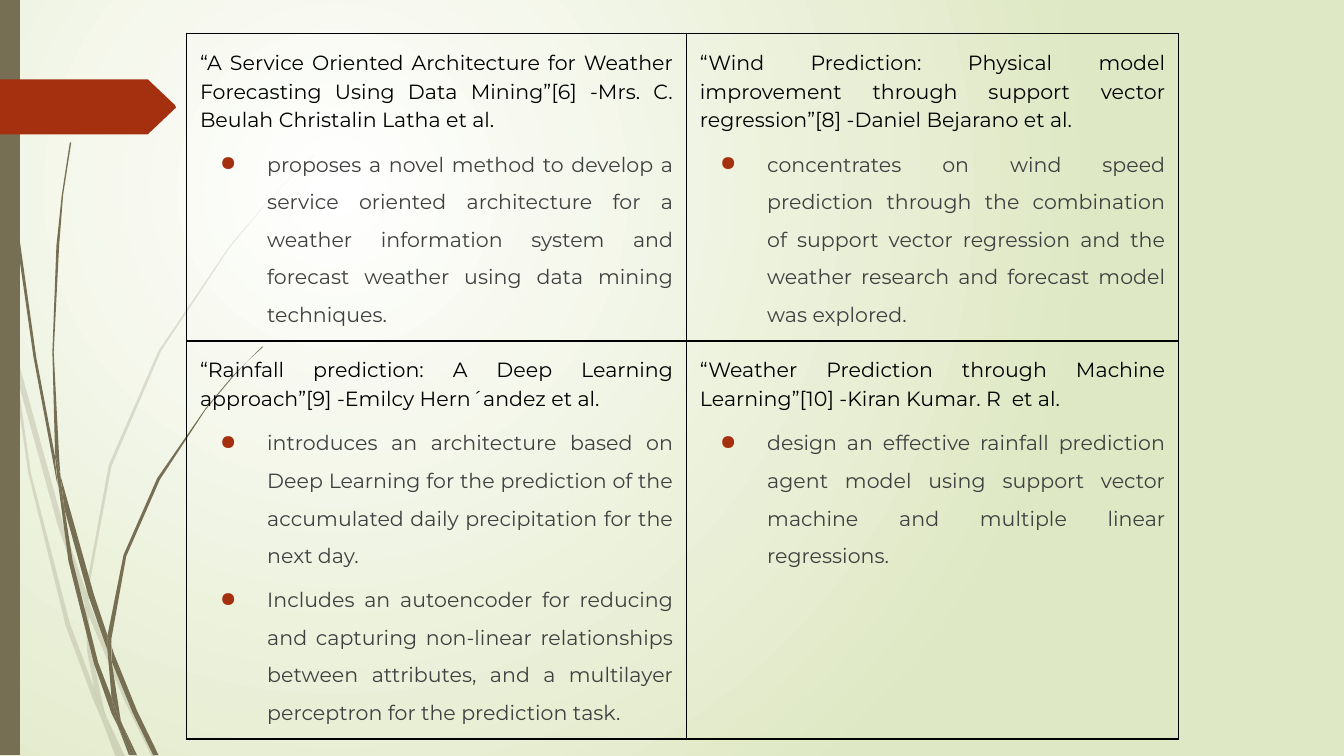
from lxml import etree
from pptx import Presentation
from pptx.dml.color import RGBColor
from pptx.enum.text import PP_ALIGN
from pptx.oxml.ns import qn
from pptx.util import Cm, Pt

JUSTIFY = PP_ALIGN.JUSTIFY
BLANK_LAYOUT = 6
GRID = Cm(2.54) / 100  # outlines are plotted in hundredths of an inch
FONT = "Montserrat"
COLORS = {
    "olive": "766F54",
    "rust": "A53010",
    "black": "000000",
    "gray": "404040",
    "white": "FFFFFF",
    "sage": "DFE8C4",
}

# Grass outlines, each a list of corner points
PALE_GRASS = [
    [(8, 263), (6, 241), (0, 211), (0, 224), (8, 258)],
    [(43, 391), (63, 449), (64, 440), (47, 390), (11, 259), (13, 282)],
    [(69, 455), (66, 447), (66, 458), (92, 520), (113, 563), (116, 563), (95, 519)],
    [(89, 563), (93, 563), (79, 533)],
    [(70, 512), (52, 464), (23, 352), (13, 282), (8, 263), (21, 352), (49, 466),
     (69, 520), (76, 536), (74, 530)],
    [(63, 449), (65, 485), (70, 512), (72, 519), (79, 533), (78, 530), (68, 484),
     (66, 458), (66, 456)],
    [(66, 438), (83, 347), (120, 261), (171, 184), (201, 148), (217, 131), (234, 115),
     (217, 131), (201, 148), (171, 183), (118, 261), (81, 346), (64, 438), (64, 440),
     (66, 447)],
    [(76, 536), (86, 563), (89, 563)],
    [(66, 456), (66, 458), (66, 447), (64, 440), (63, 449)],
    [(72, 519), (70, 512), (74, 530), (76, 536), (89, 563), (79, 533)],
]
DARK_GRASS = [
    [(5, 82), (12, 175), (25, 266), (42, 357), (43, 361), (41, 343), (41, 340), (27, 266),
     (14, 174), (6, 82), (3, 36), (3, 0), (2, 0), (3, 36)],
    [(66, 444), (80, 484), (80, 475), (80, 473), (70, 443), (45, 354), (48, 379)],
    [(85, 487), (83, 481), (83, 492), (99, 531), (114, 562), (118, 562), (102, 529)],
    [(83, 519), (73, 493), (54, 417), (48, 379), (43, 358), (51, 418), (70, 494),
     (83, 531), (88, 541), (87, 538)],
    [(45, 354), (44, 340), (40, 262), (44, 183), (47, 145), (53, 106), (52, 106),
     (46, 145), (42, 183), (39, 262), (41, 337)],
    [(100, 562), (102, 562), (91, 539)],
    [(43, 358), (48, 379), (45, 354), (41, 337), (41, 340)],
    [(83, 475), (94, 414), (119, 357), (153, 305), (173, 281), (184, 269), (196, 258),
     (195, 258), (184, 269), (173, 280), (153, 304), (117, 356), (92, 413), (80, 473),
     (83, 481)],
    [(88, 541), (96, 562), (98, 562)],
    [(80, 484), (83, 519), (87, 530), (91, 539), (90, 537), (83, 492), (81, 488)],
    [(80, 484), (81, 488), (83, 492), (83, 481), (80, 473), (80, 475)],
    [(87, 530), (83, 519), (87, 538), (88, 541), (98, 562), (100, 562), (91, 539)],
]
SIDE_BAR = [(0, 0), (15, 0), (15, 562), (0, 562)]
ARROW_TAG = [(0, 59), (110, 59), (111, 60), (130, 78), (131, 80), (130, 81),
             (111, 99), (110, 100), (0, 100)]

# Papers by table row: a title and its findings
PAPERS = [
    [
        ("“A Service Oriented Architecture for Weather Forecasting Using Data Mining”[6] "
         "-Mrs. C. Beulah Christalin Latha et al.",
         ["proposes a novel method to develop a service oriented architecture for a weather "
          "information system and forecast weather using data mining techniques."]),
        ("“Wind Prediction: Physical model improvement through support vector regression”[8] "
         "-Daniel Bejarano et al.",
         ["concentrates on wind speed prediction through the combination of support vector "
          "regression and the weather research and forecast model was explored."]),
    ],
    [
        ("“Rainfall prediction: A Deep Learning approach”[9] -Emilcy Hern´andez et al.",
         ["introduces an architecture based on Deep Learning for the prediction of the "
          "accumulated daily precipitation for the next day.",
          "Includes an autoencoder for reducing and capturing non-linear relationships between "
          "attributes, and a multilayer perceptron for the prediction task."]),
        ("“Weather Prediction through Machine Learning”[10] -Kiran Kumar. R  et al.",
         ["design an effective rainfall prediction agent model using support vector machine "
          "and multiple linear regressions."]),
    ],
]


def rgb(name):
    return RGBColor.from_string(COLORS[name])


def add_color(parent, name):
    return etree.SubElement(parent, qn("a:srgbClr"), val=COLORS[name])


def write(paragraph, text, color="black", size=11, spacing=1.15, before=None, bullet=False):
    """Fill one justified paragraph, with a hanging bullet if asked for."""
    paragraph.alignment = JUSTIFY
    paragraph.line_spacing = spacing
    if before:
        paragraph.space_before = Pt(before)
    if bullet:
        properties = paragraph._p.get_or_add_pPr()
        properties.set("marL", str(Cm(1.27)))
        properties.set("indent", str(-Cm(0.89)))
        add_color(etree.SubElement(properties, qn("a:buClr")), "rust")
        etree.SubElement(properties, qn("a:buChar"), char="●")
    run = paragraph.add_run()
    run.text = text
    run.font.name = FONT
    run.font.size = Pt(size)
    run.font.color.rgb = rgb(color)


class SlideBuilder:
    def __init__(self, slide):
        self.slide = slide
        self.border_width = Pt(0.75)
        self.cell_margin = Cm(0.25)

    def background(self, center, edge):
        fill = self.slide.background.fill
        fill.gradient()
        for stop, color in zip(fill.gradient_stops, (center, edge)):
            stop.color.rgb = rgb(color)
        gradient = self.slide.element.find(".//" + qn("a:gradFill"))
        circle = etree.Element(qn("a:path"))
        circle.set("path", "circle")
        etree.SubElement(circle, qn("a:fillToRect"), l="50000", t="50000", r="100000", b="100000")
        gradient.replace(gradient.find(qn("a:lin")), circle)

    def outline(self, points, color, opacity=100):
        builder = self.slide.shapes.build_freeform(*points[0], scale=GRID)
        builder.add_line_segments(points[1:], close=True)
        shape = builder.convert_to_shape()
        shape.shadow.inherit = False
        shape.fill.solid()
        shape.fill.fore_color.rgb = rgb(color)
        shape.line.fill.background()
        if opacity < 100:
            fill_color = shape._element.spPr.find(".//" + qn("a:srgbClr"))
            etree.SubElement(fill_color, qn("a:alpha"), val=str(opacity * 1000))

    def cell(self, cell, title, findings):
        cell.margin_left = cell.margin_right = self.cell_margin
        cell.margin_top = cell.margin_bottom = self.cell_margin
        properties = cell._tc.get_or_add_tcPr()
        for side in ("lnL", "lnR", "lnT", "lnB"):
            border = etree.SubElement(properties, qn("a:" + side), w=str(self.border_width))
            add_color(etree.SubElement(border, qn("a:solidFill")), "black")
        cell.fill.background()
        write(cell.text_frame.paragraphs[0], title)
        for finding in findings:
            write(cell.text_frame.add_paragraph(), finding, color="gray",
                  spacing=1.5, before=3.5, bullet=True)

    def table(self, rows, left, top, widths, heights):
        frame = self.slide.shapes.add_table(
            len(heights), len(widths), left, top, sum(widths), sum(heights))
        table = frame.table
        table.first_row = table.horz_banding = False
        for column, width in zip(table.columns, widths):
            column.width = width
        for row, height, papers in zip(table.rows, heights, rows):
            row.height = height
            for cell, (title, findings) in zip(row.cells, papers):
                self.cell(cell, title, findings)


def main():
    presentation = Presentation()
    presentation.slide_width = Cm(25.4)
    presentation.slide_height = Cm(14.29)
    layout = presentation.slide_layouts[BLANK_LAYOUT]
    builder = SlideBuilder(presentation.slides.add_slide(layout))

    # Backdrop and grass
    builder.background("white", "sage")
    for blade in PALE_GRASS:
        builder.outline(blade, "olive", opacity=20)
    for blade in DARK_GRASS:
        builder.outline(blade, "olive")

    # Side bar and arrow tag
    builder.outline(SIDE_BAR, "olive")
    builder.outline(ARROW_TAG, "rust")

    # Literature table
    builder.table(PAPERS, Cm(3.53), Cm(0.63),
                  widths=[Cm(9.45), Cm(9.3)], heights=[Cm(5.56), Cm(7.37)])

    presentation.save("out.pptx")


if __name__ == "__main__":
    main()
